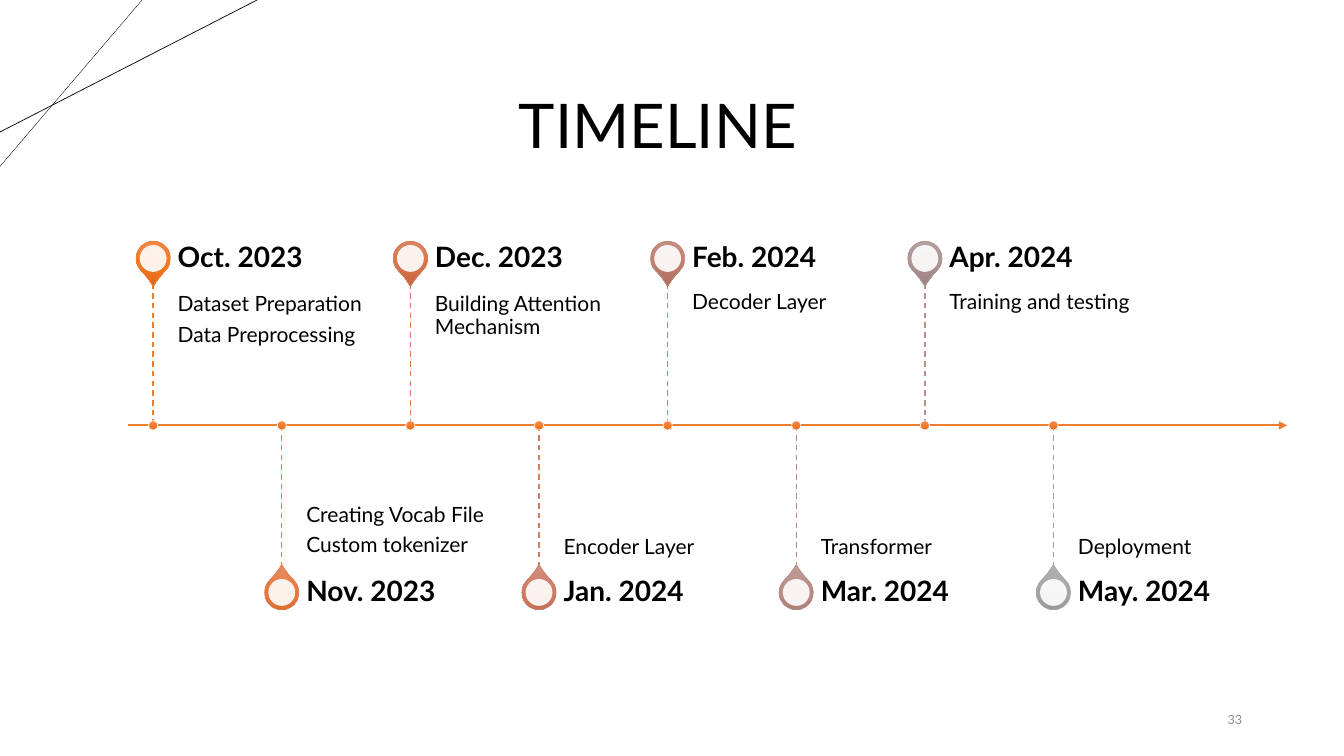
from lxml import etree
from pptx import Presentation
from pptx.dml.color import RGBColor
from pptx.enum import dml, shapes, text
from pptx.oxml import parse_xml
from pptx.oxml.ns import qn
from pptx.util import Pt

NS = 'xmlns:a="http://schemas.openxmlformats.org/drawingml/2006/main"'
ORANGE = ("F18C57", "F67B28", "E56C19")


def rgb(code):
    return RGBColor.from_string(code)


def write(box, lines, size, anchor, insets, after, bold=False, color="000000"):
    """Put one paragraph per line into a new text box."""
    frame = slide.shapes.add_textbox(*map(Pt, box)).text_frame
    frame.word_wrap = True
    frame.vertical_anchor = anchor
    (frame.margin_left, frame.margin_top,
     frame.margin_right, frame.margin_bottom) = map(Pt, insets)
    for i, line in enumerate(lines):
        para = frame.paragraphs[0] if i == 0 else frame.add_paragraph()
        para.line_spacing = 0.9
        para.space_after = Pt(after)
        run = para.add_run()
        run.text = line
        run.font.name = "Lato"
        run.font.size = Pt(size)
        run.font.bold = bold
        run.font.color.rgb = rgb(color)
    return frame


deck = Presentation()
deck.slide_width, deck.slide_height = Pt(960), Pt(540)
slide = deck.slides.add_slide(deck.slide_layouts[6])
TOP, MID, LOW = text.MSO_ANCHOR.TOP, text.MSO_ANCHOR.MIDDLE, text.MSO_ANCHOR.BOTTOM

# Title and page number
write((363.6, 39.6, 370.8, 104.4), ["TIMELINE"], 44, MID, (7.2, 3.6, 7.2, 3.6), 6)
page = write((816.5, 500.4, 77.8, 28.8), ["33"], 9, MID, (7.2, 3.6, 7.2, 3.6), 6,
             color="8C8C8C")
page.paragraphs[0].alignment = text.PP_ALIGN.RIGHT

# Timeline geometry and entries: date, tasks, gradient, pin edge, stem
AXIS, FIRST, STEP = 303.9, 109.4, 91.87
STEM, PIN, HEAD = 101.5, 119.3, 35.3
entries = [
    ("Oct. 2023", ["Dataset Preparation", "Data Preprocessing"],
     ORANGE, "ED7D31", "ED7D31"),
    ("Nov. 2023", ["Creating Vocab File", "Custom tokenizer"],
     ("E58A61", "E8783C", "D7682C"), "E07A44", "E27A42"),
    ("Dec. 2023", ["Building Attention Mechanism"],
     ("DA8A6E", "DB7850", "CA673F"), "D57B56", "D87A51"),
    ("Jan. 2024", ["Encoder Layer"],
     ("D08D7B", "CF7B62", "BD6B52"), "CA7E67", "CE7C61"),
    ("Feb. 2024", ["Decoder Layer"],
     ("C79288", "C38274", "B17163"), "BF8478", "C48170"),
    ("Mar. 2024", ["Transformer"],
     ("BE9A95", "B88B85", "A67A74"), "B68D88", "BC877E"),
    ("Apr. 2024", ["Training and testing"],
     ("B6A4A2", "AE9796", "9C8584"), "AD9897", "B4908B"),
    ("May. 2024", ["Deployment"],
     ("AFAFAF", "A5A5A5", "939393"), "A5A5A5", "AC9A99"),
]

# Lines: two corner strokes, the axis, then one stem per entry
lines = [
    (101.5, 0, 0, 118.8, "000000", 0.25),
    (183.6, 0, 0, 94.3, "000000", 0.5),
    (91.7, AXIS, 919.4, AXIS, "ED7D31", 1.5),
]
for i, entry in enumerate(entries):
    x = FIRST + i * STEP
    end = AXIS + (STEM if i % 2 else -STEM)
    lines.append((x, min(AXIS, end), x, max(AXIS, end), entry[4], 1))
for i, (x1, y1, x2, y2, color, width) in enumerate(lines):
    line = slide.shapes.add_connector(shapes.MSO_CONNECTOR.STRAIGHT,
                                      Pt(x1), Pt(y1), Pt(x2), Pt(y2))
    line.line.color.rgb = rgb(color)
    line.line.width = Pt(width)
    if i == 2:
        etree.SubElement(line.line._get_or_add_ln(), qn("a:tailEnd"), type="triangle")
    elif i > 2:
        line.line.dash_style = dml.MSO_LINE.DASH
    etree.SubElement(line._element.spPr, qn("a:effectLst"))

# Entries, in turn above and below the axis
for i, (date, tasks, shades, edge, _) in enumerate(entries):
    x, below = FIRST + i * STEP, i % 2
    y = AXIS + (PIN if below else -PIN)
    parts = [
        (shapes.MSO_SHAPE.TEAR, y, 24.5, shades, edge),
        (shapes.MSO_SHAPE.OVAL, y, 19.2, None, None),
        (shapes.MSO_SHAPE.OVAL, AXIS, 6.6, ORANGE, "FFFFFF"),
    ]
    for kind, mid, size, blend, rim in parts:
        part = slide.shapes.add_shape(kind, Pt(x - size / 2), Pt(mid - size / 2),
                                      Pt(size), Pt(size))
        part.shadow.inherit = False
        if kind == shapes.MSO_SHAPE.TEAR:
            part.adjustments[0] = 1.15
            part.rotation = 315 if below else 135
        if blend:
            stops = "".join(f'<a:gs pos="{n * 50000}"><a:srgbClr val="{c}"/></a:gs>'
                            for n, c in enumerate(blend))
            part._element.spPr.find(qn("a:prstGeom")).addnext(parse_xml(
                f'<a:gradFill {NS} rotWithShape="0"><a:gsLst>{stops}</a:gsLst>'
                '<a:lin ang="5400000" scaled="0"/></a:gradFill>'))
            part.line.color.rgb = rgb(rim)
            part.line.width = Pt(0.5)
        else:
            part.fill.solid()
            part.fill.fore_color.rgb = rgb("FFFFFF")
            shade = part._element.spPr.find(f'{qn("a:solidFill")}/{qn("a:srgbClr")}')
            etree.SubElement(shade, qn("a:alpha"), val="90000")
            part.line.fill.background()
    left = x + 17.5
    write((left, AXIS if below else AXIS - STEM, 149.8, STEM), tasks, 15,
          LOW if below else TOP,
          (0, 11.5, 0, 7.2) if below else (0, 7.2, 7.2, 11.5), 5.7)
    write((left, y - HEAD / 2, 149.8, HEAD), [date], 20, MID, (0, 0, 10.1, 0), 7.6,
          bold=True)

deck.save("out.pptx")
